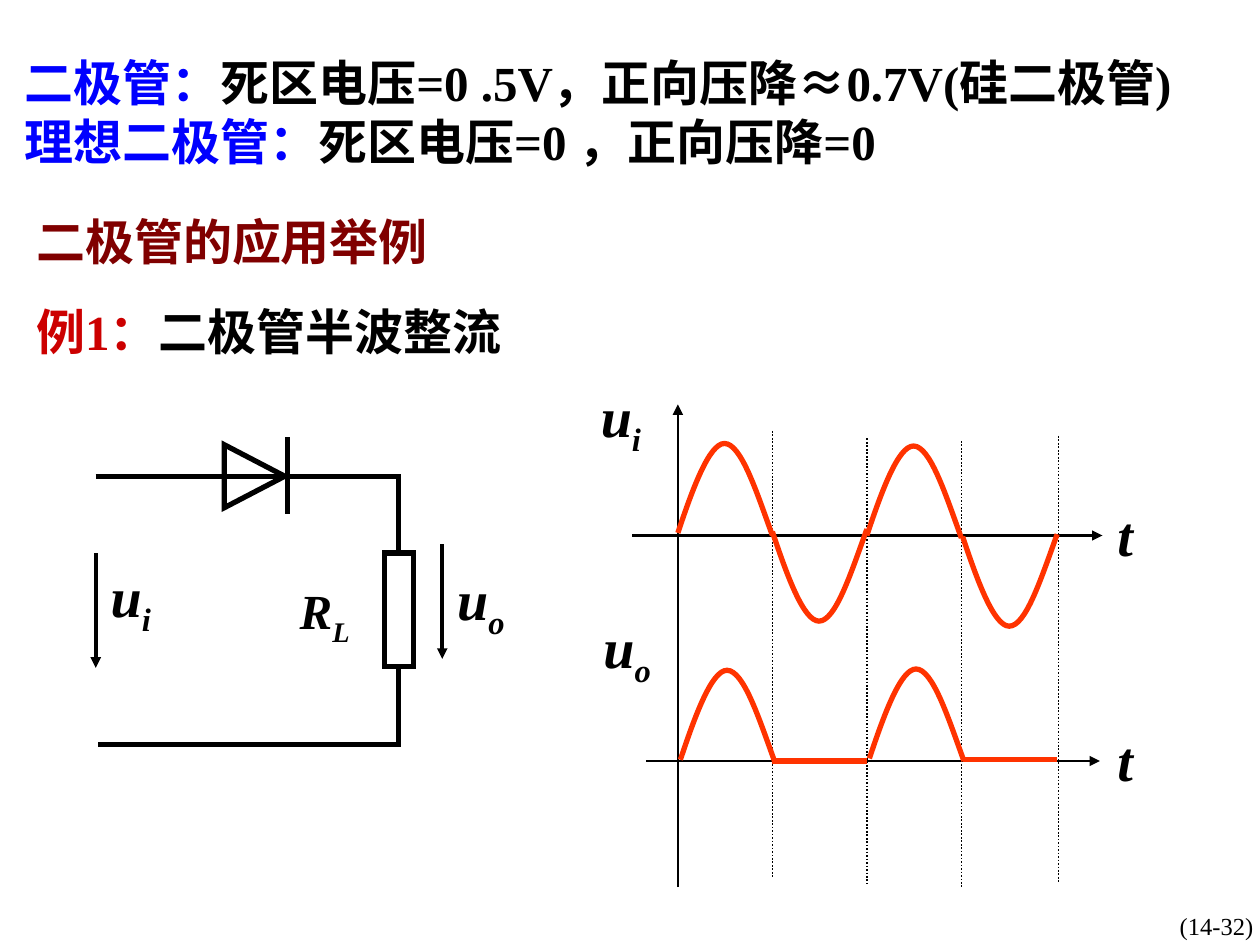
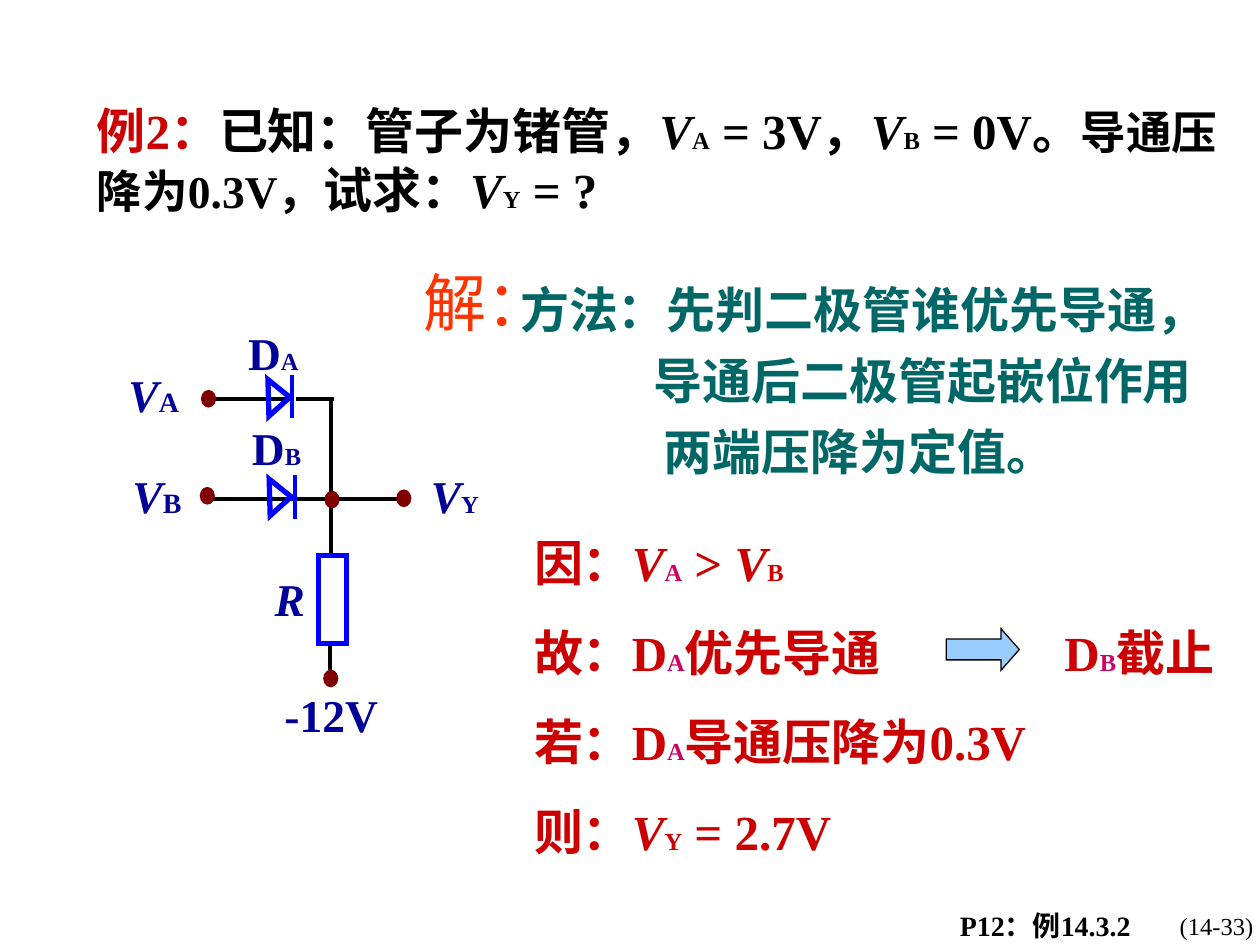
from lxml import etree
from pptx import Presentation
from pptx.dml.color import RGBColor
from pptx.enum.dml import MSO_LINE
from pptx.enum.shapes import MSO_CONNECTOR, MSO_SHAPE
from pptx.enum.text import MSO_ANCHOR, PP_ALIGN
from pptx.oxml.ns import qn
from pptx.util import Inches, Pt

STRAIGHT = MSO_CONNECTOR.STRAIGHT
RECTANGLE = MSO_SHAPE.RECTANGLE
TRIANGLE = MSO_SHAPE.ISOSCELES_TRIANGLE
DOT = MSO_SHAPE.FLOWCHART_CONNECTOR
DOTTED = MSO_LINE.ROUND_DOT

COLORS = {
    "black": "000000", "white": "FFFFFF", "blue": "0000FF", "navy": "000099",
    "maroon": "800000", "red": "CC0000", "pink": "CC0066", "teal": "006666",
    "wave": "FF3300", "sky": "99CCFF",
}
FONT = "Times New Roman"

# Span styles: a span is plain text or (text, style)
STYLES = {
    "var": {"italic": True},
    "sub": {"size": 14},
    "label sub": {"size": 16},
    "pink sub": {"size": 14, "color": "pink"},
    "smaller": {"size": 26},
    "arial": {"name": "Arial"},
    "lowered": {"baseline": -25},
    "blue": {"color": "blue"},
    "red": {"color": "red"},
    "black": {"color": "black"},
}

# Slide 1: half-wave rectifier
DIODE_FACTS = [[
    ("二极管：", "blue"), "死区电压=0 .5V，正向压降", ("≈", "arial"),
    "0.7V(硅二极管)\t", ("理想二极管：", "blue"), "死区电压=0 ，正向压降=0",
]]
EXAMPLE_1 = [["二极管的应用举例"], [("例1：", "red"), ("二极管半波整流", "black")]]

RECTIFIER_WIRES = [
    (0.76, 3.78, 1.91, 3.78), (2.64, 3.78, 3.18, 3.78), (2.28, 3.47, 2.28, 4.08),
    (2.64, 3.78, 1.36, 3.78), (3.16, 3.78, 3.16, 4.39), (3.16, 5.3, 3.16, 5.91),
    (3.18, 5.91, 0.78, 5.91),
]
VOLTAGE_ARROWS = [(0.76, 4.39, 0.76, 5.3), (3.51, 4.32, 3.51, 5.23)]
AXES = [
    (5.38, 7.04, 5.38, 3.21), (5.02, 4.25, 8.75, 4.25), (5.13, 6.04, 8.73, 6.04),
]
PERIOD_MARKS = [(6.13, 3.42), (6.88, 3.48), (7.63, 3.5), (8.4, 3.46)]
MARK_LENGTH = 3.54
# left, start height, direction (-1 is up)
INPUT_WAVES = [
    (5.38, 4.23, -1), (6.88, 4.25, -1), (6.13, 4.22, 1), (7.64, 4.26, 1),
]
OUTPUT_WAVES = [(6.9, 6.02, -1), (5.4, 6.03, -1)]
# Two joined Bezier curves: offset from the start, rise
WAVE_POINTS = [
    (0, 0), (0.12, 0.36), (0.25, 0.71), (0.37, 0.71),
    (0.5, 0.71), (0.62, 0.34), (0.75, -0.02),
]
BLOCKED_HALVES = [(6.13, 6.04, 6.88, 6.04), (7.64, 6.03, 8.39, 6.03)]
# left, top, width, height, size, letter, index
SIGNAL_LABELS = [
    (2.28, 4.56, 0.88, 0.63, 28, "R", "L"), (0.78, 4.41, 0.9, 0.71, 32, "u", "i"),
    (3.53, 4.43, 0.78, 0.71, 32, "u", "o"), (4.67, 2.98, 0.77, 0.71, 32, "u", "i"),
    (4.69, 4.81, 0.69, 0.71, 32, "u", "o"), (8.77, 3.92, 0.46, 0.64, 32, "t", ""),
    (8.77, 5.71, 0.46, 0.64, 32, "t", ""),
]

# Slide 2: diode clamp
EXAMPLE_2 = [[
    ("例2：", "red"), "已知：管子为锗管，", ("V", "var"), ("A", "sub"), " = 3V，",
    ("V", "var"), ("B", "sub"), " = 0V。", ("导通压降为0.3V，", "smaller"),
    "试求：", ("V", "var"), ("Y", "sub"), " = ?",
]]
METHOD = [["方法：先判二极管谁优先导通，"], ["导通后二极管起嵌位作用"], ["两端压降为定值。"]]
METHOD_INDENTS = [0, 1.06, 1.14]
REASONING = [
    ["因：", ("V", "var"), ("A", "pink sub"), " > ", ("V", "var"), ("B", "sub")],
    ["故：D", ("A", "pink sub"), "优先导通\tD", ("B", "pink sub"), "截止"],
    ["若：D", ("A", "pink sub"), "导通压降为0.3V"],
    ["则：", ("V", "var"), ("Y", "sub"), " = 2.7V"],
]
CLAMP_WIRES = [
    (1.69, 3.17, 2.32, 3.17), (1.69, 3.96, 2.39, 3.96), (2.35, 3.17, 2.65, 3.17),
    (2.63, 3.16, 2.63, 3.96), (2.63, 4, 2.63, 4.39), (2.62, 5.1, 2.62, 5.35),
    (2.35, 3.96, 2.6, 3.96), (2.66, 3.96, 3.23, 3.96),
]
# triangle left, triangle top, then the bar's ends
CLAMP_DIODES = [
    (2.07, 3.07, (2.32, 3.32, 2.32, 2.98)), (2.08, 3.86, (2.34, 4.12, 2.34, 3.77)),
]
TERMINALS = [(1.59, 3.87), (2.58, 3.9), (1.6, 3.1), (3.15, 3.89), (2.57, 5.32)]
# left, top, width, spans
CLAMP_LABELS = [
    (1.87, 2.53, 0.6, ["D", ("A", "sub")]),
    (1.9, 3.28, 0.59, ["D", ("B", "sub")]),
    (0.92, 2.86, 0.6, [("V", "var"), ("A", "label sub")]),
    (0.95, 3.66, 0.59, [("V", "var"), ("B", "label sub")]),
    (3.32, 3.66, 0.58, [("V", "var"), ("Y", "sub")]),
    (2.08, 4.48, 0.44, [("R", "var")]),
    (2.16, 5.4, 0.94, ["-12V"]),
]


def rgb(color):
    return RGBColor.from_string(COLORS[color])


def apply_style(span, style):
    font = span.font
    if "size" in style:
        font.size = Pt(style["size"])
    if "color" in style:
        font.color.rgb = rgb(style["color"])
    if "name" in style:
        font.name = style["name"]
    if "italic" in style:
        font.italic = style["italic"]
    if "baseline" in style:
        span._r.get_or_add_rPr().set("baseline", str(style["baseline"] * 1000))


def add_text(page, area, paragraphs, size=28, color="black", bold=True, italic=None,
             gap=0, indents=None, tab=None, centered=False, wrap=True):
    """Place paragraphs, each a list of spans, with `gap` points between them."""
    box = page.shapes.add_textbox(*map(Inches, area))
    frame = box.text_frame
    frame.word_wrap = wrap
    if centered:
        frame.vertical_anchor = MSO_ANCHOR.MIDDLE
    for index, spans in enumerate(paragraphs):
        para = frame.add_paragraph() if index else frame.paragraphs[0]
        if index:
            para.space_before = Pt(gap)
        if centered:
            para.alignment = PP_ALIGN.CENTER
        properties = para._p.get_or_add_pPr()
        if indents:
            properties.set("marL", str(Inches(indents[index])))
            properties.set("indent", "0")
        if tab:
            stops = etree.SubElement(properties, qn("a:tabLst"))
            etree.SubElement(stops, qn("a:tab"), pos=str(Inches(tab)), algn="l")
        font = para.font
        font.name, font.size = FONT, Pt(size)
        font.bold, font.italic = bold, italic
        font.color.rgb = rgb(color)
        for item in spans:
            text, style = (item, None) if isinstance(item, str) else item
            span = para.add_run()
            span.text = text
            apply_style(span, STYLES.get(style, {}))


def add_line(page, ends, width, color="black", arrow=False, dash=None):
    connector = page.shapes.add_connector(STRAIGHT, *map(Inches, ends))
    line = connector.line
    line.color.rgb = rgb(color)
    line.width = Pt(width)
    if dash:
        line.dash_style = dash
    if arrow:
        etree.SubElement(line._get_or_add_ln(), qn("a:tailEnd"), type="triangle")
    etree.SubElement(connector._element.spPr, qn("a:effectLst"))


def paint(shape, line, width, fill=None):
    shape.shadow.inherit = False
    shape.line.color.rgb = rgb(line)
    shape.line.width = Pt(width)
    etree.SubElement(shape.line._get_or_add_ln(), qn("a:miter"), lim="800000")
    if fill:
        shape.fill.solid()
        shape.fill.fore_color.rgb = rgb(fill)
    else:
        shape.fill.background()


def add_shape(page, kind, area, line="black", width=3, fill=None, rotation=0):
    shape = page.shapes.add_shape(kind, *map(Inches, area))
    paint(shape, line, width, fill)
    shape.rotation = rotation
    return shape


def add_half_wave(page, left, start, direction):
    points = [(Inches(left + x), Inches(start + direction * rise)) for x, rise in WAVE_POINTS]
    builder = page.shapes.build_freeform(*points[0])
    builder.add_line_segments(points[1:], close=False)
    wave = builder.convert_to_shape()
    segments = list(wave._element.iter(qn("a:lnTo")))
    outline = segments[0].getparent()
    # Each three straight segments become one Bezier curve
    for first in range(0, len(segments), 3):
        curve = etree.SubElement(outline, qn("a:cubicBezTo"))
        for segment in segments[first:first + 3]:
            curve.append(segment[0])
            outline.remove(segment)
    paint(wave, "wave", 3)


def add_page(deck, number):
    page = deck.slides.add_slide(deck.slide_layouts[6])
    add_text(page, (8.69, 7.18, 1.93, 0.33), [[f"(14-{number})"]], size=14,
             bold=False, centered=True)
    return page


def build_rectifier(deck):
    page = add_page(deck, 32)
    add_text(page, (0.1, 0.37, 9.67, 1.04), DIODE_FACTS, tab=0.9)
    for ends in RECTIFIER_WIRES:
        add_line(page, ends, 3)
    add_shape(page, TRIANGLE, (1.77, 3.54, 0.5, 0.48), rotation=90)
    add_shape(page, RECTANGLE, (3.05, 4.39, 0.23, 0.9))
    for ends in VOLTAGE_ARROWS:
        add_line(page, ends, 2, arrow=True)
    for ends in AXES:
        add_line(page, ends, 1.5, arrow=True)
    for x, top in PERIOD_MARKS:
        add_line(page, (x, top, x, top + MARK_LENGTH), 1, dash=DOTTED)
    for wave in INPUT_WAVES:
        add_half_wave(page, *wave)
    for *area, size, letter, index in SIGNAL_LABELS:
        spans = [letter, (index, "lowered")] if index else [letter]
        add_text(page, area, [spans], size=size, italic=True)
    add_text(page, (0.19, 1.63, 8.7, 1.28), EXAMPLE_1, color="maroon", gap=17.5)
    for wave in OUTPUT_WAVES:
        add_half_wave(page, *wave)
    for ends in BLOCKED_HALVES:
        add_line(page, ends, 3, "wave")


def build_clamp(deck):
    page = add_page(deck, 33)
    add_text(page, (0.67, 0.75, 9.16, 1.04), EXAMPLE_2)
    add_text(page, (4.03, 2.17, 6.16, 1.7), METHOD, color="teal", gap=7,
             indents=METHOD_INDENTS)
    add_text(page, (4.14, 4.18, 5.86, 2.7), REASONING, color="red", gap=17.5, tab=4.21)
    arrow = add_shape(page, MSO_SHAPE.RIGHT_ARROW, (7.51, 4.99, 0.58, 0.33),
                      width=0.75, fill="sky")
    arrow.adjustments[1] = 0.44
    add_text(page, (3.26, 2.04, 1.5, 0.7), [["解："]], size=36, color="wave", bold=False)
    add_text(page, (7.52, 7.16, 1.78, 0.37), [["P12：例14.3.2"]], size=16)
    for ends in CLAMP_WIRES:
        add_line(page, ends, 2.25)
    for left, top, bar in CLAMP_DIODES:
        add_shape(page, TRIANGLE, (left, top, 0.29, 0.17), "blue", rotation=88.4)
        add_line(page, bar, 2.25, "blue")
    add_shape(page, RECTANGLE, (2.29, 4.65, 0.7, 0.22), "blue", fill="white", rotation=90)
    for left, top in TERMINALS:
        add_shape(page, DOT, (left, top, 0.11, 0.13), "maroon", 0.75, "maroon")
    for left, top, width, spans in CLAMP_LABELS:
        add_text(page, (left, top, width, 0.54), [spans], size=26, color="navy",
                 centered=True, wrap=False)


def main():
    deck = Presentation()
    deck.slide_width, deck.slide_height = Inches(10), Inches(7.5)
    build_rectifier(deck)
    build_clamp(deck)
    deck.save("out.pptx")


if __name__ == "__main__":
    main()
